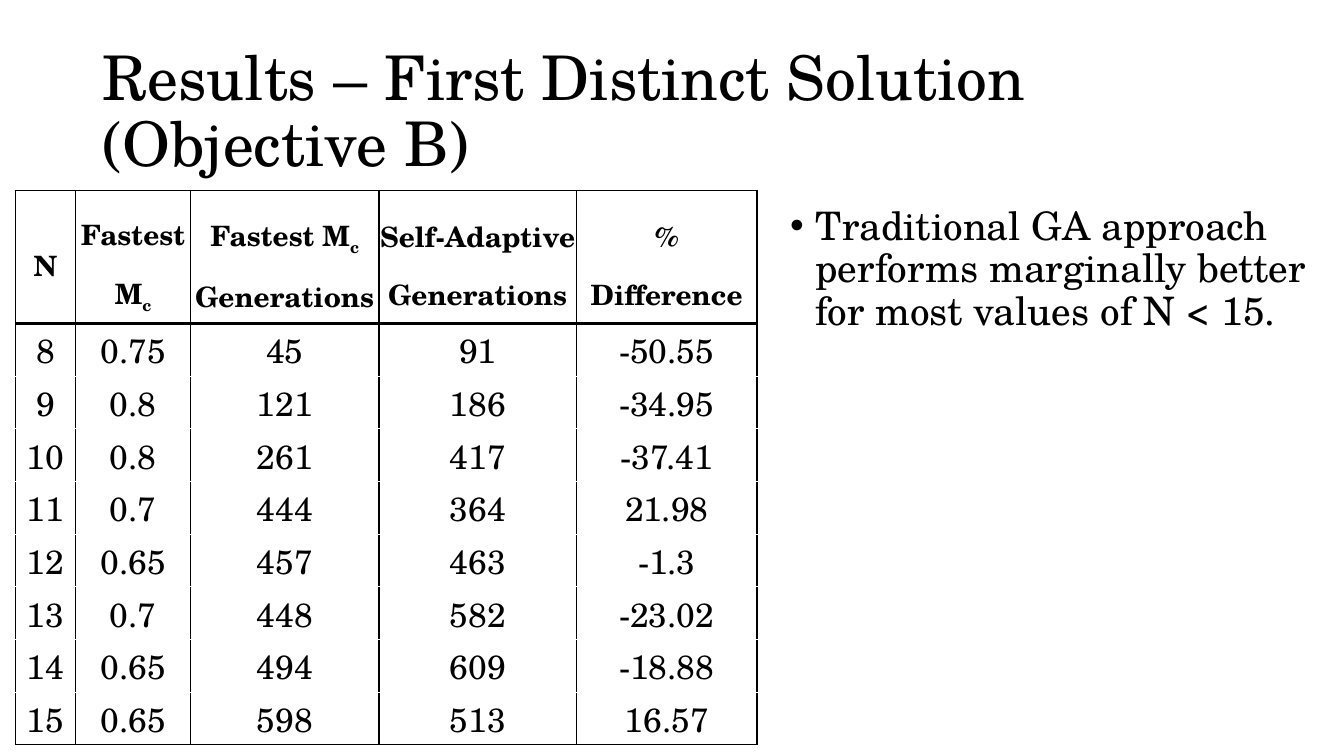
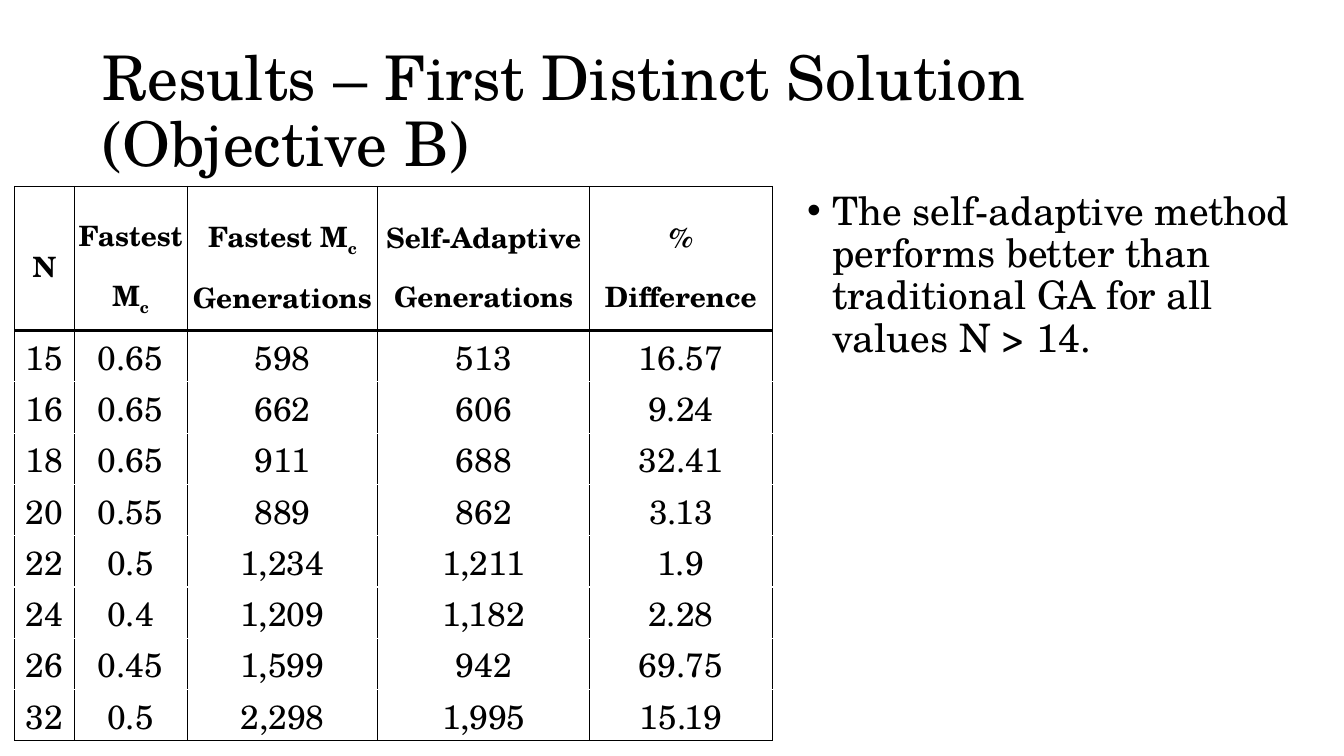
from lxml import etree
from pptx import Presentation
from pptx.dml.color import RGBColor
from pptx.enum.text import MSO_ANCHOR, PP_ALIGN
from pptx.oxml.ns import qn
from pptx.util import Inches, Pt

BLACK = RGBColor(0x00, 0x00, 0x00)
WHITE = RGBColor(0xFF, 0xFF, 0xFF)
FONT = "TeX Gyre Schola"
CENTER, LEFT = PP_ALIGN.CENTER, PP_ALIGN.LEFT
MIDDLE, TOP = MSO_ANCHOR.MIDDLE, MSO_ANCHOR.TOP

GRID_COLUMNS, GRID_ROWS = 160, 90
UNIT = Inches(1) / 12
BLANK_LAYOUT = 6
SUBSCRIPT = "_"
TITLE = "Results – First Distinct Solution (Objective B)"
TITLE_BOX = (11, 4.8, 138, 17.4)
HEADERS = (
    ("N",),
    ("Fastest M", "_c"),
    ("Fastest M", "_c", " Generations"),
    ("Self-Adaptive Generations",),
    ("% Difference",),
)

RESULTS = (
    {
        "table_box": (1.8, 22.68, 88.32, 66),
        "column_weights": (0.6, 1.14, 1.87, 1.96, 1.79),
        "header_share": 0.24,
        "rows": (
            ("8", "0.75", "45", "91", "-50.55"),
            ("9", "0.8", "121", "186", "-34.95"),
            ("10", "0.8", "261", "417", "-37.41"),
            ("11", "0.7", "444", "364", "21.98"),
            ("12", "0.65", "457", "463", "-1.3"),
            ("13", "0.7", "448", "582", "-23.02"),
            ("14", "0.65", "494", "609", "-18.88"),
            ("15", "0.65", "598", "513", "16.57"),
        ),
        "finding_box": (92.88, 24, 65.88, 57.12),
        "finding": "Traditional GA approach performs marginally better "
                   "for most values of N < 15.",
    },
    {
        "table_box": (1.75, 22.2, 90.2, 66),
        "column_weights": (0.59, 1.12, 1.89, 2.1, 1.81),
        "header_share": 0.26,
        "rows": (
            ("15", "0.65", "598", "513", "16.57"),
            ("16", "0.65", "662", "606", "9.24"),
            ("18", "0.65", "911", "688", "32.41"),
            ("20", "0.55", "889", "862", "3.13"),
            ("22", "0.5", "1,234", "1,211", "1.9"),
            ("24", "0.4", "1,209", "1,182", "2.28"),
            ("26", "0.45", "1,599", "942", "69.75"),
            ("32", "0.5", "2,298", "1,995", "15.19"),
        ),
        "finding_box": (94.92, 22.2, 63.24, 57.12),
        "finding": "The self-adaptive method performs better than "
                   "traditional GA for all values N > 14.",
    },
)


def grid(box):
    """Convert a box in grid units to slide lengths."""
    return [round(value * UNIT) for value in box]


def write_text(frame, parts, size, bold=False, align=LEFT, spacing=1.0, before=0):
    """Write the parts as runs of one paragraph, lowering the marked ones."""
    frame.word_wrap = True
    paragraph = frame.paragraphs[0]
    paragraph.alignment = align
    paragraph.line_spacing = spacing
    paragraph.space_before = Pt(before)
    for part in parts:
        run = paragraph.add_run()
        run.text = part.removeprefix(SUBSCRIPT)
        run.font.name = FONT
        run.font.size = Pt(size)
        run.font.bold = bold
        run.font.color.rgb = BLACK
        if part.startswith(SUBSCRIPT):
            run.font._element.set("baseline", "-25000")
    return paragraph


def add_bullet(paragraph):
    """Give the paragraph a hanging round bullet."""
    properties = paragraph._p.get_or_add_pPr()
    properties.set("marL", str(Inches(0.25)))
    properties.set("indent", str(-Inches(0.25)))
    etree.SubElement(properties, qn("a:buFont")).set("typeface", "Arial")
    etree.SubElement(properties, qn("a:buChar")).set("char", "•")


def set_borders(cell, **widths):
    """Draw the named cell sides with the given widths in points."""
    properties = cell._tc.get_or_add_tcPr()
    for position, (side, width) in enumerate(widths.items()):
        line = etree.Element(qn(f"a:{side}"), w=str(Pt(width)))
        fill = etree.SubElement(line, qn("a:solidFill"))
        etree.SubElement(fill, qn("a:srgbClr")).set("val", str(BLACK))
        properties.insert(position, line)


def add_title(slide, box):
    """Place the slide title in its box."""
    frame = slide.shapes.add_textbox(*grid(box)).text_frame
    frame.vertical_anchor = MIDDLE
    write_text(frame, [TITLE], size=44, spacing=0.9)


def add_finding(slide, box, finding):
    """Place the bulleted finding in its box."""
    frame = slide.shapes.add_textbox(*grid(box)).text_frame
    frame.vertical_anchor = TOP
    add_bullet(write_text(frame, [finding], size=28, spacing=0.9, before=10))


def fill_cell(cell, parts, is_header):
    """Write and format one table cell."""
    cell.fill.solid()
    cell.fill.fore_color.rgb = WHITE
    cell.vertical_anchor = MIDDLE
    cell.margin_left = cell.margin_right = cell.margin_top = Inches(0.01)
    cell.margin_bottom = 0
    if is_header:
        write_text(cell.text_frame, parts, size=20, bold=True, align=CENTER, spacing=1.35)
        set_borders(cell, lnL=1, lnR=1, lnT=1, lnB=2)
    else:
        write_text(cell.text_frame, parts, size=24, align=CENTER)
        set_borders(cell, lnL=1, lnR=1, lnB=1)


def add_results_table(slide, box, column_weights, header_share, rows):
    """Place the results table, sharing its box among columns and rows."""
    left, top, width, height = grid(box)
    table = slide.shapes.add_table(
        len(rows) + 1, len(HEADERS), left, top, width, height
    ).table
    table.first_row = table.horz_banding = False
    for column, weight in zip(table.columns, column_weights):
        column.width = round(width * weight / sum(column_weights))
    for index, row in enumerate(table.rows):
        share = (1 - header_share) / len(rows) if index else header_share
        row.height = round(height * share)
    body = [[(value,) for value in row] for row in rows]
    for row_index, row_parts in enumerate([HEADERS, *body]):
        for column_index, parts in enumerate(row_parts):
            fill_cell(table.cell(row_index, column_index), parts, row_index == 0)


def add_results_slide(presentation, result):
    """Add a slide with title, results table and finding."""
    slide = presentation.slides.add_slide(presentation.slide_layouts[BLANK_LAYOUT])
    add_title(slide, TITLE_BOX)
    add_results_table(
        slide,
        result["table_box"],
        result["column_weights"],
        result["header_share"],
        result["rows"],
    )
    add_finding(slide, result["finding_box"], result["finding"])


def main():
    """Build and save the presentation."""
    presentation = Presentation()
    presentation.slide_width = round(GRID_COLUMNS * UNIT)
    presentation.slide_height = round(GRID_ROWS * UNIT)
    for result in RESULTS:
        add_results_slide(presentation, result)
    presentation.save("out.pptx")


if __name__ == "__main__":
    main()
